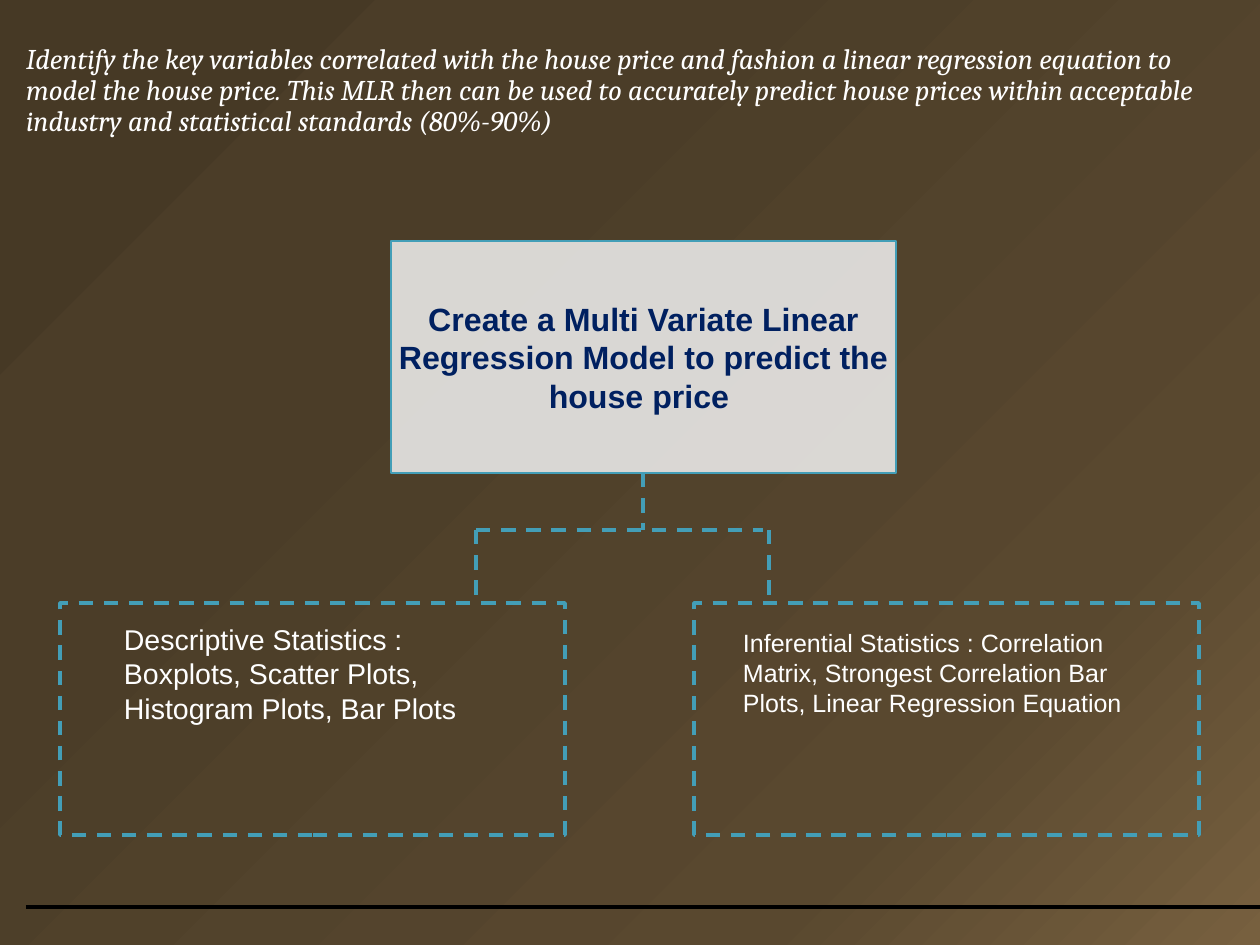
from pptx import Presentation
from pptx.dml.color import RGBColor
from pptx.enum.dml import MSO_LINE
from pptx.enum.shapes import MSO_CONNECTOR, MSO_SHAPE
from pptx.enum.text import MSO_ANCHOR, MSO_AUTO_SIZE, PP_ALIGN
from pptx.oxml import parse_xml
from pptx.oxml.ns import nsdecls, qn
from pptx.util import Emu, Pt

SCALE = 7112  # EMU in one px
WIDTH, HEIGHT = 1260, 945
TEAL, WHITE, NAVY, BLACK = "439EB7", "FFFFFF", "002060", "000000"


def px(count):
    return Emu(count * SCALE)


def color(code):
    return RGBColor.from_string(code)


def write(frame, *lines, size=16, font="Arial", ink=WHITE, bold=False,
          italic=False, align=PP_ALIGN.LEFT, anchor=MSO_ANCHOR.TOP,
          pad=(0, 0), space=1.0):
    frame.word_wrap = True
    frame.auto_size = MSO_AUTO_SIZE.NONE
    frame.vertical_anchor = anchor
    frame.margin_left = frame.margin_right = px(pad[0])
    frame.margin_top = frame.margin_bottom = px(pad[1])
    for i, line in enumerate(lines):
        para = frame.add_paragraph() if i else frame.paragraphs[0]
        para.alignment, para.line_spacing = align, space
        run = para.add_run()
        run.text = line
        face = run.font
        face.name, face.size = font, Pt(size)
        face.bold, face.italic = bold, italic
        face.color.rgb = color(ink)


class Board:
    def __init__(self, deck):
        self.slide = deck.slides.add_slide(deck.slide_layouts[5])
        self.shapes = self.slide.shapes

    def ground(self, stops):
        marks = "".join(
            f'<a:gs pos="{spot * 1000}"><a:srgbClr val="{code}"/></a:gs>'
            for spot, code in stops)
        self.slide.element.cSld.insert(0, parse_xml(
            f'<p:bg {nsdecls("p", "a")}><p:bgPr><a:gradFill rotWithShape="1">'
            f'<a:gsLst>{marks}</a:gsLst><a:path path="circle">'
            '<a:fillToRect l="100000" t="100000"/></a:path>'
            '<a:tileRect r="-100000" b="-100000"/></a:gradFill>'
            '<a:effectLst/></p:bgPr></p:bg>'))

    def title(self, text, x, y, w, h, **style):
        head = self.shapes.title
        head.left, head.top, head.width, head.height = map(px, (x, y, w, h))
        write(head.text_frame, text, **style)

    def stroke(self, line, ink, width, dash):
        line.color.rgb = color(ink)
        line.width = Pt(width)
        if dash:
            line.dash_style = MSO_LINE.DASH

    def box(self, x, y, w, h, fill=None, alpha=100, width=2.0, dash=True):
        box = self.shapes.add_shape(MSO_SHAPE.RECTANGLE,
                                    *map(px, (x, y, w, h)))
        box.shadow.inherit = False
        self.stroke(box.line, TEAL, width, dash)
        if fill:
            box.fill.solid()
            box.fill.fore_color.rgb = color(fill)
            tint = box.element.spPr.find(qn("a:solidFill"))[0]
            tint.append(parse_xml(
                f'<a:alpha {nsdecls("a")} val="{alpha * 1000}"/>'))
        else:
            box.fill.background()
        return box

    def line(self, x1, y1, x2, y2, ink=TEAL, dash=True):
        link = self.shapes.add_connector(MSO_CONNECTOR.STRAIGHT,
                                         *map(px, (x1, y1, x2, y2)))
        self.stroke(link.line, ink, 2, dash)
        link.element.spPr.append(
            parse_xml(f'<a:effectLst {nsdecls("a")}/>'))

    def text(self, x, y, w, h, *lines, **style):
        area = self.shapes.add_textbox(*map(px, (x, y, w, h)))
        write(area.text_frame, *lines, pad=(13, 6), **style)


def main():
    deck = Presentation()
    deck.slide_width, deck.slide_height = px(WIDTH), px(HEIGHT)
    board = Board(deck)
    board.ground([(0, "77603F"), (23, "59482F"),
                  (69, "4B3D28"), (97, "463925")])

    # Title and bottom rule
    board.title(
        "Identify the key variables correlated with the house price and "
        "fashion a linear regression equation to model the house price. "
        "This MLR then can be used to accurately predict house prices within "
        "acceptable industry and statistical standards (80%-90%)",
        26, 45, 1210, 125, font="Cambria", italic=True, space=0.9)
    board.line(26, 907, WIDTH, 907, ink=BLACK, dash=False)

    # Goal box
    wide, high = 505, 232
    goal = board.box(391, 241, wide, high, fill="F2F2F2", alpha=85,
                     width=0.75, dash=False)
    write(goal.text_frame,
          "Create a Multi Variate Linear Regression Model to predict the "
          "house price ",
          size=18, ink=NAVY, bold=True, align=PP_ALIGN.CENTER,
          anchor=MSO_ANCHOR.MIDDLE)

    # Branches: box left, drop line
    fork, top = 530, 603
    for left, drop in ((60, 476), (694, 769)):
        board.box(left, top, wide, high)
        board.line(drop, fork, drop, top)
    board.line(476, fork, 763, fork)
    board.line(643, 473, 643, fork)

    # Branch texts
    board.text(111, 616, 433, 117, "Descriptive Statistics :",
               "Boxplots, Scatter Plots, Histogram Plots, Bar Plots")
    board.text(730, 621, 433, 104,
               "Inferential Statistics : Correlation Matrix, Strongest "
               "Correlation Bar Plots, Linear Regression Equation", size=14)

    deck.save("out.pptx")


if __name__ == "__main__":
    main()
